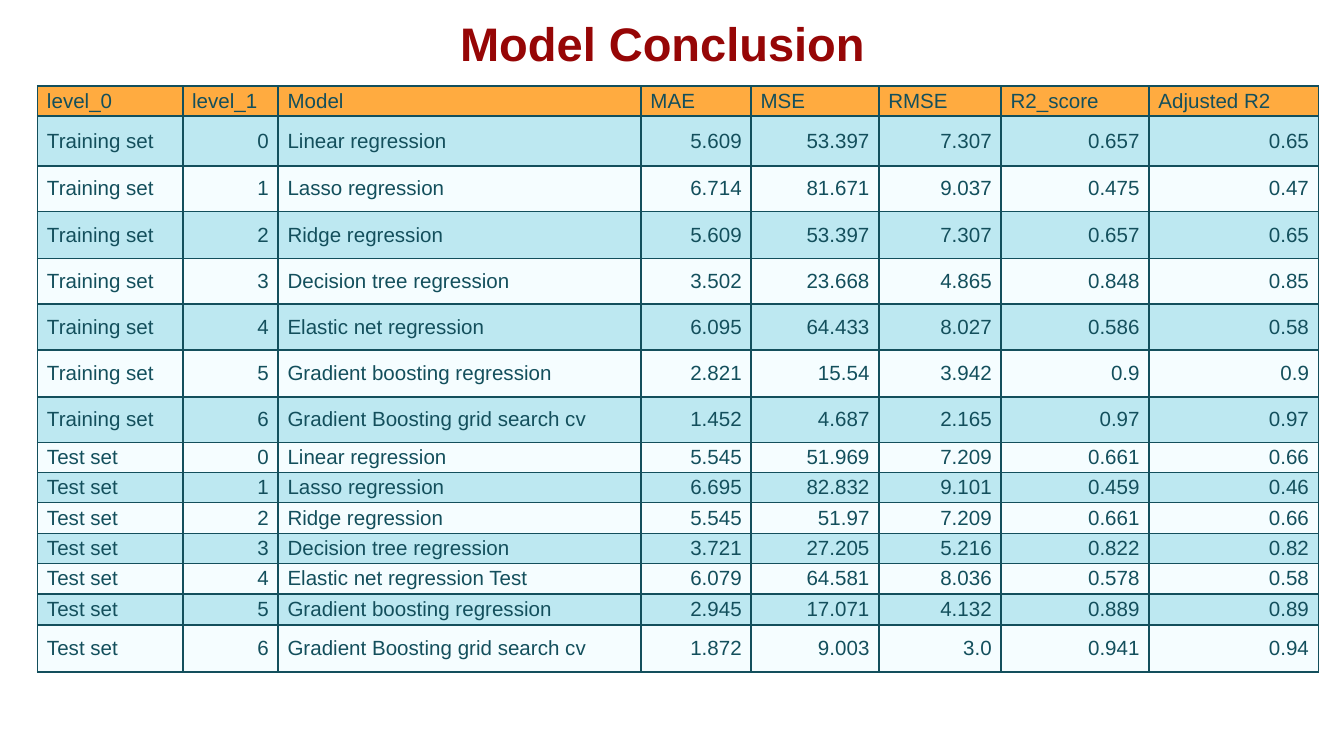
import pptx
import pptx.dml.color
import pptx.enum.text
import pptx.oxml
import pptx.oxml.ns
import pptx.util

Inches = pptx.util.Inches
Pt = pptx.util.Pt
Align = pptx.enum.text.PP_ALIGN
Anchor = pptx.enum.text.MSO_ANCHOR

COLORS = {
    "title": "960606",
    "ink": "134F5C",
    "head": "FFAB40",
    "odd": "BDE8F1",
    "even": "F5FDFF",
}
HEADS = ["level_0", "level_1", "Model", "MAE", "MSE", "RMSE", "R2_score", "Adjusted R2"]
SCORES = {
    "Training set": [
        ("Linear regression", "5.609", "53.397", "7.307", "0.657", "0.65"),
        ("Lasso regression", "6.714", "81.671", "9.037", "0.475", "0.47"),
        ("Ridge regression", "5.609", "53.397", "7.307", "0.657", "0.65"),
        ("Decision tree regression", "3.502", "23.668", "4.865", "0.848", "0.85"),
        ("Elastic net regression", "6.095", "64.433", "8.027", "0.586", "0.58"),
        ("Gradient boosting regression", "2.821", "15.54", "3.942", "0.9", "0.9"),
        ("Gradient Boosting grid search cv", "1.452", "4.687", "2.165", "0.97", "0.97"),
    ],
    "Test set": [
        ("Linear regression", "5.545", "51.969", "7.209", "0.661", "0.66"),
        ("Lasso regression", "6.695", "82.832", "9.101", "0.459", "0.46"),
        ("Ridge regression", "5.545", "51.97", "7.209", "0.661", "0.66"),
        ("Decision tree regression", "3.721", "27.205", "5.216", "0.822", "0.82"),
        ("Elastic net regression Test", "6.079", "64.581", "8.036", "0.578", "0.58"),
        ("Gradient boosting regression", "2.945", "17.071", "4.132", "0.889", "0.89"),
        ("Gradient Boosting grid search cv", "1.872", "9.003", "3.0", "0.941", "0.94"),
    ],
}
WIDTHS = [1.08, 0.71, 2.7, 0.82, 0.95, 0.91, 1.1, 1.26]
HEIGHTS = [0.22, 0.37, 0.34, 0.35, 0.34, 0.34, 0.35, 0.34,
           0.22, 0.22, 0.23, 0.22, 0.23, 0.23, 0.35]


def style(para, size, color, align, bold=False):
    para.alignment = align
    font = para.runs[0].font
    font.name = "Arial"
    font.size = Pt(size)
    font.bold = bold
    font.color.rgb = pptx.dml.color.RGBColor.from_string(COLORS[color])


def border(cell):
    """Draw a thin line on all four sides of the cell."""
    props = cell._tc.get_or_add_tcPr()
    for spot, side in enumerate(["lnL", "lnR", "lnT", "lnB"]):
        line = pptx.oxml.parse_xml(
            f'<a:{side} {pptx.oxml.ns.nsdecls("a")} w="{Pt(1)}"><a:solidFill>'
            f'<a:srgbClr val="{COLORS["ink"]}"/></a:solidFill></a:{side}>')
        props.insert(spot, line)


deck = pptx.Presentation()
deck.slide_width = Inches(10)
deck.slide_height = Inches(10) * 9 // 16
slide = deck.slides.add_slide(deck.slide_layouts[6])

# Title
title = slide.shapes.add_textbox(Inches(0.62), Inches(0), Inches(8.62), Inches(0.51))
frame = title.text_frame
frame.word_wrap = True
frame.margin_left = frame.margin_right = Inches(0.1)
frame.margin_top = Inches(0.11)
frame.margin_bottom = Inches(0)
frame.text = "Model Conclusion"
style(frame.paragraphs[0], 25.2, "title", Align.CENTER, bold=True)

# Score table
rows = [HEADS]
for group, models in SCORES.items():
    rows += [(group, str(level), *model) for level, model in enumerate(models)]

table = slide.shapes.add_table(
    len(rows), len(HEADS), Inches(0.28), Inches(0.64),
    Inches(sum(WIDTHS)), Inches(sum(HEIGHTS))).table
for col, width in zip(table.columns, WIDTHS):
    col.width = Inches(width)
for row, height in zip(table.rows, HEIGHTS):
    row.height = Inches(height)

for r, row in enumerate(rows):
    shade = "head" if r == 0 else "odd" if r % 2 else "even"
    for c, text in enumerate(row):
        cell = table.cell(r, c)
        cell.text_frame.text = text
        left = r == 0 or c in (0, 2)
        style(cell.text_frame.paragraphs[0], 11, "ink", Align.LEFT if left else Align.RIGHT)
        cell.vertical_anchor = Anchor.MIDDLE
        cell.margin_left = cell.margin_right = Inches(0.07)
        cell.margin_top = cell.margin_bottom = Inches(0.02)
        cell.fill.solid()
        cell.fill.fore_color.rgb = pptx.dml.color.RGBColor.from_string(COLORS[shade])
        border(cell)

deck.save("out.pptx")
